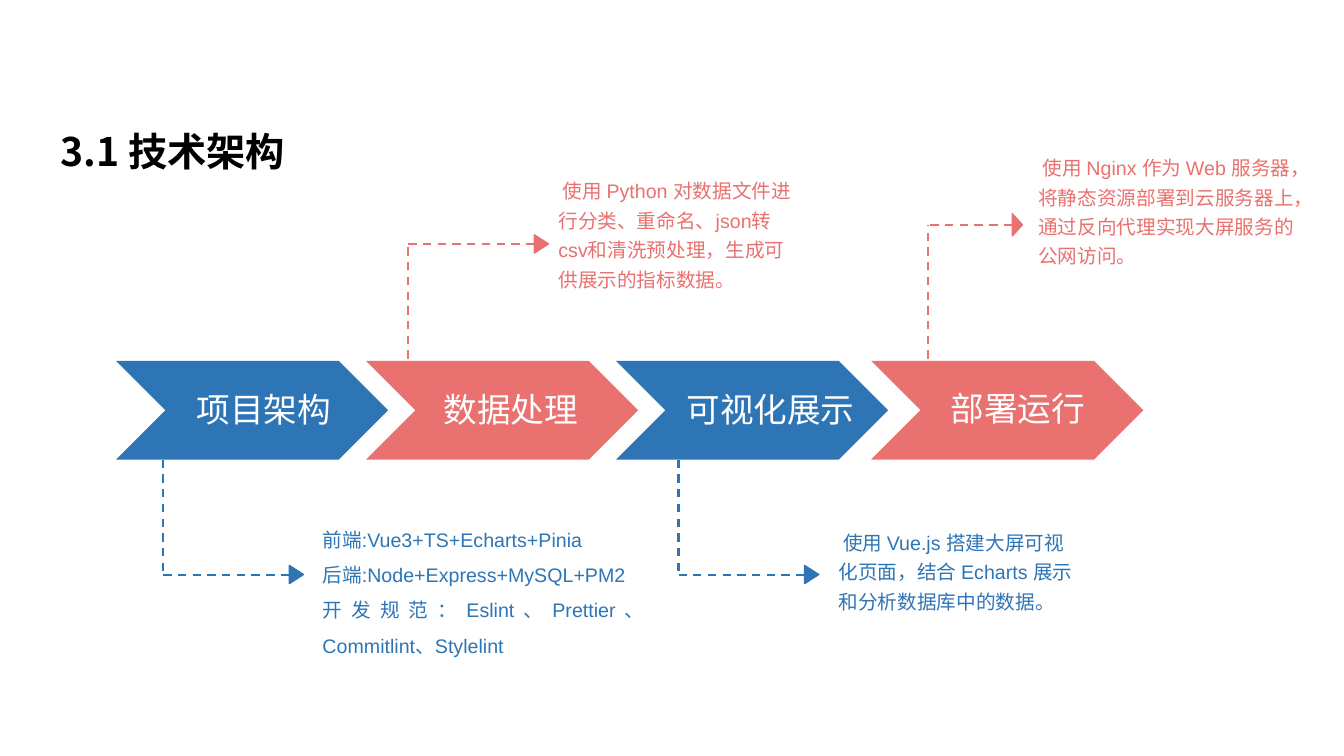
from dataclasses import dataclass
from lxml import etree
from pptx import Presentation
from pptx.dml.color import RGBColor
from pptx.enum import dml, shapes, text
from pptx.oxml import ns
from pptx.util import Inches, Pt

BLUE = RGBColor(0x2E, 0x75, 0xB6)
CORAL = RGBColor(0xE9, 0x71, 0x6F)
WHITE = RGBColor(0xFF, 0xFF, 0xFF)
BLACK = RGBColor(0, 0, 0)
HAN = "Noto Sans CJK SC"
LATIN = "Arial"
BAND_TOP, BAND_WIDTH, BAND_HIGH = 3.58, 2.7, 0.98


@dataclass(frozen=True)
class Step:
    name: str
    left: float
    color: RGBColor
    label: tuple[float, float, float]
    wrap: bool = False


@dataclass(frozen=True)
class Branch:
    start: tuple[float, float]
    corner: tuple[float, float]
    head: tuple[float, float, float]
    color: RGBColor


@dataclass(frozen=True)
class Note:
    box: tuple[float, float, float, float]
    color: RGBColor
    lines: tuple[str, ...]
    space: float = 1.25
    align: text.PP_ALIGN = text.PP_ALIGN.LEFT


STEPS = [
    Step("项目架构", 1.15, BLUE, (1.85, 3.81, 1.55)),
    Step("数据处理", 3.63, CORAL, (4.3, 3.81, 1.55)),
    Step("可视化展示", 6.11, BLUE, (6.71, 3.81, 1.88)),
    Step("部署运行", 8.64, CORAL, (9.33, 3.8, 1.62), True),
]

BRANCHES = [
    Branch((1.62, 4.56), (2.87, 5.7), (2.94, 0.18, 0.14), BLUE),
    Branch((4.05, 3.56), (5.3, 2.42), (5.37, 0.18, 0.14), CORAL),
    Branch((6.73, 4.56), (7.98, 5.7), (8.05, 0.18, 0.14), BLUE),
    Branch((9.2, 3.56), (10.04, 2.23), (10.09, 0.22, 0.1), CORAL),
]

NOTES = [
    Note((3.1, 5.07, 3.39, 1.51), BLUE, (
        "前端:Vue3+TS+Echarts+Pinia",
        "后端:Node+Express+MySQL+PM2",
        "开发规范：Eslint、Prettier、Commitlint、Stylelint",
    ), 1.5, text.PP_ALIGN.JUSTIFY),
    Note((5.44, 1.67, 2.58, 1.28), CORAL, (
        " 使用 Python 对数据文件进行分类、重命名、json转csv和清洗预处理，生成可供展示的指标数据。",
    )),
    Note((8.22, 5.16, 2.58, 0.98), BLUE, (
        " 使用 Vue.js 搭建大屏可视化页面，结合 Echarts 展示和分析数据库中的数据。",
    )),
    Note((10.2, 1.44, 2.85, 1.28), CORAL, (
        " 使用 Nginx 作为 Web 服务器，将静态资源部署到云服务器上，通过反向代理实现大屏服务的公网访问。",
    )),
]


def add_run(para, words: str, size: float, color: RGBColor,
            face: str, bold: bool = False) -> None:
    run = para.add_run()
    run.text = words
    run.font.size = Pt(size)
    run.font.name = face
    run.font.bold = bold
    run.font.color.rgb = color
    east = etree.SubElement(run.font._element, ns.qn("a:ea"))
    east.set("typeface", HAN)


def add_solid(slide, kind, box: tuple[float, ...], color: RGBColor):
    shape = slide.shapes.add_shape(kind, *map(Inches, box))
    shape.shadow.inherit = False
    shape.fill.solid()
    shape.fill.fore_color.rgb = color
    shape.line.fill.background()
    return shape


def add_box(slide, box: tuple[float, ...], wrap: bool):
    frame = slide.shapes.add_textbox(*map(Inches, box)).text_frame
    frame.word_wrap = wrap
    frame.auto_size = text.MSO_AUTO_SIZE.SHAPE_TO_FIT_TEXT
    return frame


def add_title(slide, words: str) -> None:
    title = slide.shapes.title
    title.left, title.top = Inches(0.6), Inches(1.29)
    title.width, title.height = Inches(3.24), Inches(0.42)
    frame = title.text_frame
    frame.auto_size = text.MSO_AUTO_SIZE.NONE
    frame.vertical_anchor = text.MSO_ANCHOR.MIDDLE
    frame.margin_left = frame.margin_right = 0
    frame.margin_top = frame.margin_bottom = Inches(0.04)
    para = frame.paragraphs[0]
    para.alignment = text.PP_ALIGN.LEFT
    add_run(para, words, 28, BLACK, HAN, True)


def add_step(slide, step: Step) -> None:
    box = (step.left, BAND_TOP, BAND_WIDTH, BAND_HIGH)
    add_solid(slide, shapes.MSO_SHAPE.CHEVRON, box, step.color)
    frame = add_box(slide, (*step.label, 0.5), step.wrap)
    add_run(frame.paragraphs[0], step.name, 24, WHITE, HAN)


def add_dash(slide, start: tuple[float, float], end: tuple[float, float],
             color: RGBColor) -> None:
    line = slide.shapes.add_connector(
        shapes.MSO_CONNECTOR.STRAIGHT, *map(Inches, (*start, *end)))
    line.line.color.rgb = color
    line.line.width = Pt(1.5)
    line.line.dash_style = dml.MSO_LINE.DASH
    etree.SubElement(line._element.spPr, ns.qn("a:effectLst"))


def add_branch(slide, branch: Branch) -> None:
    x, y = branch.start[0], branch.corner[1]
    add_dash(slide, branch.start, (x, y), branch.color)
    add_dash(slide, branch.corner, (x, y), branch.color)
    mid, width, height = branch.head
    box = (mid - width / 2, y - height / 2, width, height)
    head = add_solid(slide, shapes.MSO_SHAPE.ISOSCELES_TRIANGLE,
                     box, branch.color)
    head.rotation = 90
    head.line.color.rgb = branch.color
    head.line.width = Pt(1)


def add_note(slide, note: Note) -> None:
    frame = add_box(slide, note.box, True)
    for i, words in enumerate(note.lines):
        para = frame.add_paragraph() if i else frame.paragraphs[0]
        para.alignment = note.align
        para.line_spacing = note.space
        add_run(para, words, 14, note.color, LATIN)


def main() -> None:
    deck = Presentation()
    deck.slide_width, deck.slide_height = Inches(13.33), Inches(7.5)
    slide = deck.slides.add_slide(deck.slide_layouts[5])
    add_title(slide, "3.1 技术架构")
    for step in STEPS:
        add_step(slide, step)
    for branch in BRANCHES:
        add_branch(slide, branch)
    for note in NOTES:
        add_note(slide, note)
    deck.save("out.pptx")


if __name__ == "__main__":
    main()
